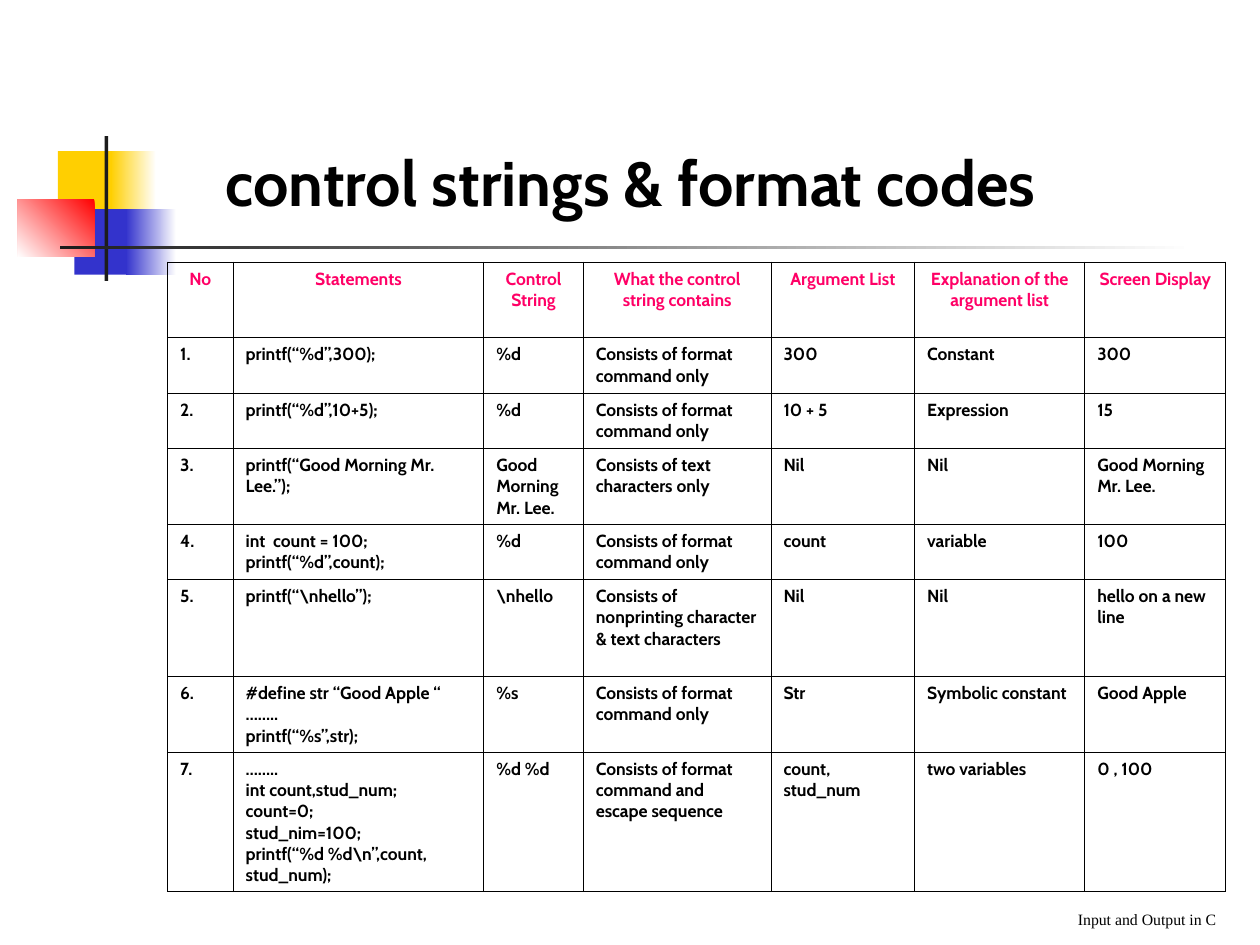
import lxml.etree
import pptx
import pptx.dml.color
import pptx.enum.shapes
import pptx.enum.text
import pptx.oxml.ns
import pptx.util

Inches = pptx.util.Inches
ALIGN = pptx.enum.text.PP_ALIGN
ANCHOR = pptx.enum.text.MSO_ANCHOR

BLACK, WHITE, DARK, PINK = "000000", "FFFFFF", "1C1C1C", "FF0066"
YELLOW, BLUE, RED = "FFCF01", "3333CC", "FF0000"
COLUMNS = [0.52, 1.99, 0.79, 1.49, 1.14, 1.35, 1.12]
ROWS = [0.6, 0.44, 0.44, 0.6, 0.44, 0.77, 0.6, 1.1]
FORMAT_ONLY = "Consists of format command only"
HEADER = ["No", "Statements", "Control String", "What the control string contains",
          "Argument List", "Explanation of the argument list", "Screen Display"]
EXAMPLES = [
    ["printf(“%d”,300);", "%d", FORMAT_ONLY, "300", "Constant", "300"],
    ["printf(“%d”,10+5);", "%d", FORMAT_ONLY, "10 + 5", "Expression", "15"],
    ["printf(“Good Morning Mr. Lee.”);", "Good Morning Mr. Lee.",
     "Consists of text characters only", "Nil", "Nil", "Good Morning Mr. Lee."],
    ["int  count = 100;\nprintf(“%d”,count);", "%d", FORMAT_ONLY, "count", "variable", "100"],
    ["printf(“\\nhello”);", "\\nhello", "Consists of nonprinting character & text characters",
     "Nil", "Nil", "hello on a new line"],
    ["#define str “Good Apple “\n……..\nprintf(“%s”,str);", "%s", FORMAT_ONLY,
     "Str", "Symbolic constant", "Good Apple"],
    ["……..\nint count,stud_num;\ncount=0;\nstud_nim=100;\nprintf(“%d %d\\n”,count, stud_num);",
     "%d %d", "Consists of format command and escape sequence",
     "count, stud_num", "two variables", "0 , 100"],
]


def rgb(value):
    """Turn a hex string into a colour."""
    return pptx.dml.color.RGBColor.from_string(value)


def write(tf, text, size, color=BLACK, font="Cabin", bold=True, align=ALIGN.LEFT):
    """Write each line of text as a paragraph with one run."""
    for i, line in enumerate(text.split("\n")):
        p = tf.add_paragraph() if i else tf.paragraphs[0]
        p.alignment = align
        r = p.add_run()
        r.text = line
        r.font.size = pptx.util.Pt(size)
        r.font.name = font
        r.font.bold = bold
        r.font.color.rgb = rgb(color)


def add_block(s, left, top, width, height, colors, angle=180):
    """Add a borderless rectangle, solid for one colour or a gradient for two."""
    sp = s.shapes.add_shape(pptx.enum.shapes.MSO_SHAPE.RECTANGLE,
                            Inches(left), Inches(top), Inches(width), Inches(height))
    sp.shadow.inherit = False
    sp.line.fill.background()
    if len(colors) == 1:
        sp.fill.solid()
        sp.fill.fore_color.rgb = rgb(colors[0])
        return
    sp.fill.gradient()
    sp.fill.gradient_angle = angle
    for stop, color in zip(sp.fill.gradient_stops, colors):
        stop.color.rgb = rgb(color)


def add_ornament(s, x, y):
    """Add the coloured squares and the crossing bars."""
    add_block(s, x + 0.32, y + 0.12, 0.48, 0.52, [YELLOW])
    add_block(s, x + 0.74, y + 0.12, 0.36, 0.52, [WHITE, YELLOW])
    add_block(s, x + 0.45, y + 0.58, 0.46, 0.52, [BLUE])
    add_block(s, x + 0.86, y + 0.58, 0.4, 0.52, [WHITE, BLUE])
    add_block(s, x, y + 0.5, 0.61, 0.46, [RED, WHITE], 225)
    add_block(s, x + 0.69, y, 0.03, 1.15, [DARK])
    add_block(s, x + 0.34, y + 0.87, 9, 0.03, [WHITE, DARK])


def add_title(s, x, y, width, height):
    """Add the slide title."""
    tf = s.shapes.add_textbox(Inches(x), Inches(y), Inches(width), Inches(height)).text_frame
    tf.word_wrap = True
    tf.margin_top = Inches(0.21)
    write(tf, "control strings & format codes", 36)


def add_borders(cell):
    """Draw a thin black line on all four sides of a cell."""
    tc_pr = cell._tc.get_or_add_tcPr()
    qn = pptx.oxml.ns.qn
    for i, side in enumerate(["a:lnL", "a:lnR", "a:lnT", "a:lnB"]):
        ln = lxml.etree.Element(qn(side), w=str(pptx.util.Pt(0.45)))
        fill = lxml.etree.SubElement(ln, qn("a:solidFill"))
        lxml.etree.SubElement(fill, qn("a:srgbClr"), val=BLACK)
        tc_pr.insert(i, ln)


def add_examples(s, x, y):
    """Add the table of printf examples."""
    table = s.shapes.add_table(len(ROWS), len(COLUMNS), Inches(x), Inches(y),
                               Inches(sum(COLUMNS)), Inches(sum(ROWS))).table
    table.first_row = table.horz_banding = False
    for column, width in zip(table.columns, COLUMNS):
        column.width = Inches(width)
    for row, height in zip(table.rows, ROWS):
        row.height = Inches(height)
    numbered = [[f"{n}."] + example for n, example in enumerate(EXAMPLES, 1)]
    for i, texts in enumerate([HEADER] + numbered):
        color, align = (BLACK, ALIGN.LEFT) if i else (PINK, ALIGN.CENTER)
        for j, text in enumerate(texts):
            cell = table.cell(i, j)
            cell.fill.background()
            add_borders(cell)
            write(cell.text_frame, text, 10, color, align=align)


def add_footer(s, x, y, width, height):
    """Add the footer text."""
    tf = s.shapes.add_textbox(Inches(x), Inches(y), Inches(width), Inches(height)).text_frame
    tf.word_wrap = True
    tf.vertical_anchor = ANCHOR.BOTTOM
    write(tf, "Input and Output in C", 9, font="Times New Roman", bold=False, align=ALIGN.RIGHT)


def main():
    """Build the slide and save it."""
    prs = pptx.Presentation()
    prs.slide_width, prs.slide_height = Inches(10), Inches(7.5)
    s = prs.slides.add_slide(prs.slide_layouts[6])
    add_ornament(s, 0.14, 1.08)
    add_title(s, 1.69, 0.93, 7.97, 0.9)
    add_examples(s, 1.33, 2.08)
    add_footer(s, 3.67, 6.92, 6.08, 0.5)
    prs.save("out.pptx")


if __name__ == "__main__":
    main()
